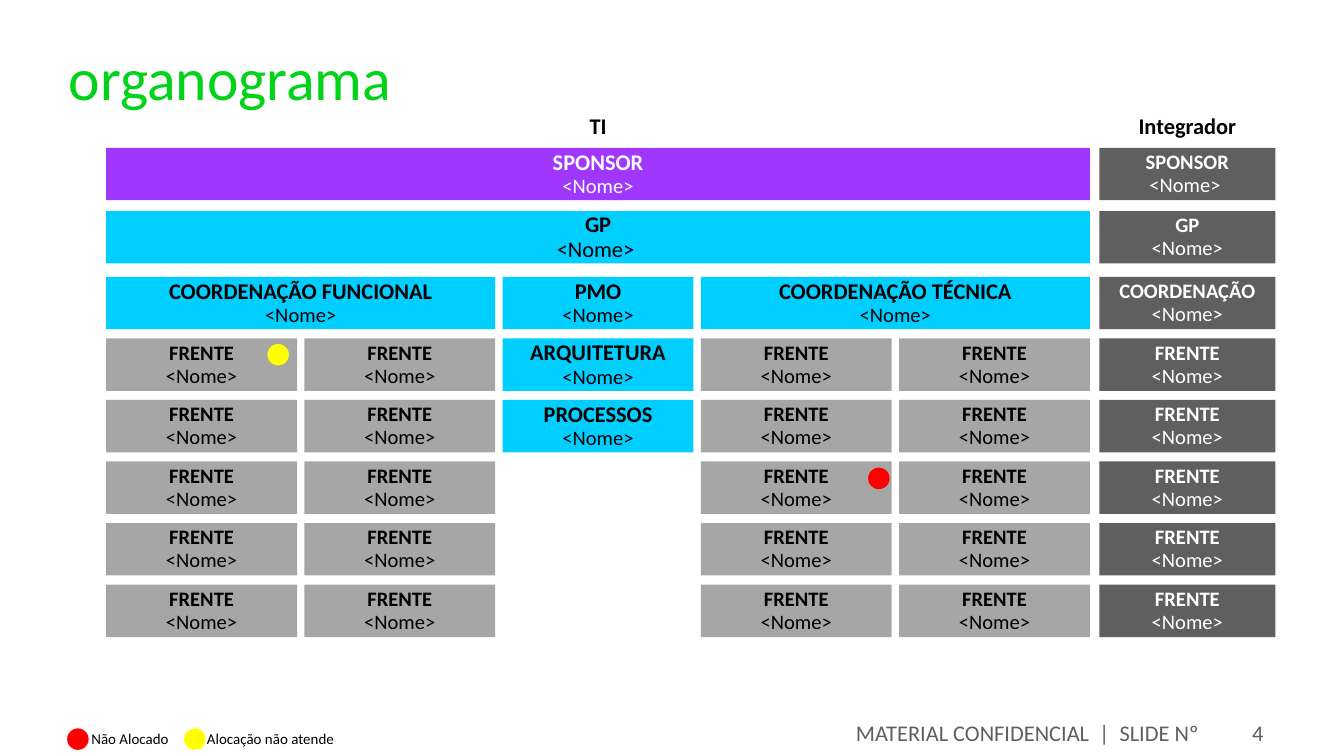
import dataclasses

import pptx
import pptx.dml.color
import pptx.enum.shapes
import pptx.enum.text
import pptx.presentation
import pptx.shapes.base
import pptx.slide
import pptx.text.text
import pptx.util

Inches = pptx.util.Inches
ALIGN = pptx.enum.text.PP_ALIGN
ANCHOR = pptx.enum.text.MSO_ANCHOR
SHAPE = pptx.enum.shapes.MSO_SHAPE


@dataclasses.dataclass(frozen=True)
class Theme:
    font: str = "Calibri"
    green: str = "00D318"
    purple: str = "9F37FE"
    cyan: str = "00CEFF"
    light_gray: str = "A6A6A6"
    dark_gray: str = "5F5F5F"
    red: str = "FF0000"
    yellow: str = "FFFF00"
    black: str = "000000"
    white: str = "FFFFFF"
    title: int = 32
    heading: int = 12
    body: int = 11
    legend: int = 8
    line_spacing: float = 0.93


THEME = Theme()


@dataclasses.dataclass(frozen=True)
class Area:
    left: float
    top: float
    width: float
    height: float


@dataclasses.dataclass(frozen=True)
class RoleStyle:
    fill: str
    color: str
    role_size: int
    name_size: int
    inset: float = 0.05


@dataclasses.dataclass(frozen=True)
class Role:
    title: str
    area: Area
    style: RoleStyle
    name: str = "<Nome>"


@dataclasses.dataclass(frozen=True)
class Label:
    text: str
    area: Area
    size: int
    color: str = THEME.black
    bold: bool = False
    align: ALIGN = ALIGN.LEFT
    anchor: ANCHOR = ANCHOR.MIDDLE
    insets: tuple[float, float] = (0.04, 0)
    wrap: bool = False
    spacing: float = THEME.line_spacing


@dataclasses.dataclass(frozen=True)
class Marker:
    left: float
    top: float
    color: str


SPONSOR = RoleStyle(THEME.purple, THEME.white, THEME.heading, THEME.body)
MANAGER = RoleStyle(THEME.cyan, THEME.black, THEME.heading, THEME.heading)
COORDINATION = RoleStyle(THEME.cyan, THEME.black, THEME.heading, THEME.body)
FRONT = RoleStyle(THEME.light_gray, THEME.black, THEME.body, THEME.body, 0)
INTEGRATOR = RoleStyle(THEME.dark_gray, THEME.white, THEME.body, THEME.body)

CHART_LEFT, COLUMN_WIDTH = 0.79, 1.42
COLUMN_PITCH = (6.69 - CHART_LEFT) / 4
INTEGRATOR_LEFT, INTEGRATOR_WIDTH = 8.18, 1.31
BOX_HEIGHT, DOT_SIZE = 0.39, 0.16
COORDINATION_TOP = 2.06
ROW_PITCH = (4.35 - COORDINATION_TOP) / 5
ROW_TOPS = [1.1, 1.57] + [COORDINATION_TOP + row * ROW_PITCH for row in range(6)]
FRONT_ROWS = range(3, 8)


def chart_area(column: int, row: int, span: int = 1) -> Area:
    width = COLUMN_WIDTH + (span - 1) * COLUMN_PITCH
    return Area(CHART_LEFT + column * COLUMN_PITCH, ROW_TOPS[row], width, BOX_HEIGHT)


def integrator_role(title: str, row: int, name: str = "<Nome>") -> Role:
    area = Area(INTEGRATOR_LEFT, ROW_TOPS[row], INTEGRATOR_WIDTH, BOX_HEIGHT)
    return Role(title, area, INTEGRATOR, name)


def place(area: Area) -> tuple[int, int, int, int]:
    return Inches(area.left), Inches(area.top), Inches(area.width), Inches(area.height)


def set_frame(frame: pptx.text.text.TextFrame, anchor: ANCHOR,
              insets: tuple[float, float], wrap: bool) -> None:
    frame.word_wrap = wrap
    frame.vertical_anchor = anchor
    frame.margin_left = frame.margin_right = Inches(insets[0])
    frame.margin_top = frame.margin_bottom = Inches(insets[1])


def write(paragraph, text: str, size: int, color: str, bold: bool,
          align: ALIGN, spacing: float) -> None:
    paragraph.alignment = align
    paragraph.line_spacing = spacing
    run = paragraph.add_run()
    run.text = text
    run.font.name = THEME.font
    run.font.size = pptx.util.Pt(size)
    run.font.bold = bold
    run.font.color.rgb = pptx.dml.color.RGBColor.from_string(color)


def add_filled(slide: pptx.slide.Slide, kind: SHAPE, area: Area,
               color: str) -> pptx.shapes.base.BaseShape:
    shape = slide.shapes.add_shape(kind, *place(area))
    shape.shadow.inherit = False
    shape.fill.solid()
    shape.fill.fore_color.rgb = pptx.dml.color.RGBColor.from_string(color)
    shape.line.fill.background()
    return shape


def add_role(slide: pptx.slide.Slide, role: Role) -> None:
    style = role.style
    frame = add_filled(slide, SHAPE.RECTANGLE, role.area, style.fill).text_frame
    set_frame(frame, ANCHOR.MIDDLE, (0.04, style.inset), False)
    write(frame.paragraphs[0], role.title, style.role_size, style.color, True,
          ALIGN.CENTER, THEME.line_spacing)
    write(frame.add_paragraph(), role.name, style.name_size, style.color, False,
          ALIGN.CENTER, THEME.line_spacing)


def add_label(slide: pptx.slide.Slide, label: Label) -> None:
    frame = slide.shapes.add_textbox(*place(label.area)).text_frame
    set_frame(frame, label.anchor, label.insets, label.wrap)
    write(frame.paragraphs[0], label.text, label.size, label.color, label.bold,
          label.align, label.spacing)


def add_marker(slide: pptx.slide.Slide, marker: Marker) -> None:
    area = Area(marker.left, marker.top, DOT_SIZE, DOT_SIZE)
    add_filled(slide, SHAPE.OVAL, area, marker.color)


def column_header(text: str, left: float, width: float) -> Label:
    return Label(text, Area(left, 0.77, width, 0.32), THEME.heading, bold=True,
                 align=ALIGN.CENTER, anchor=ANCHOR.BOTTOM, insets=(0.04, 0.05))


def footer(text: str, left: float, width: float) -> Label:
    return Label(text, Area(left, 5.33, width, 0.24), THEME.heading, THEME.dark_gray,
                 align=ALIGN.RIGHT, insets=(0.1, 0.05), wrap=True, spacing=1.0)


LABELS = [
    Label("organograma", Area(0.51, 0.3, 8.98, 0.78), THEME.title, THEME.green,
          anchor=ANCHOR.TOP, insets=(0, 0), wrap=True, spacing=1.0),
    column_header("TI", CHART_LEFT, 7.32),
    column_header("Integrador", INTEGRATOR_LEFT, INTEGRATOR_WIDTH),
    Label("Não Alocado", Area(0.64, 5.37, 0.7, 0.27), THEME.legend),
    Label("Alocação não atende", Area(1.5, 5.39, 1.21, 0.23), THEME.legend),
    footer("MATERIAL CONFIDENCIAL  |  SLIDE Nº", 0.5, 8.52),
    footer("4", 9.02, 0.48),
]
ROLES = [
    Role("SPONSOR", chart_area(0, 0, 5), SPONSOR),
    Role("GP", chart_area(0, 1, 5), MANAGER, "<Nome> "),
    Role("COORDENAÇÃO FUNCIONAL", chart_area(0, 2, 2), COORDINATION),
    Role("PMO", chart_area(2, 2), COORDINATION),
    Role("COORDENAÇÃO TÉCNICA", chart_area(3, 2, 2), COORDINATION),
    Role("ARQUITETURA", chart_area(2, 3), COORDINATION),
    Role("PROCESSOS", chart_area(2, 4), COORDINATION),
    *(Role("FRENTE", chart_area(column, row), FRONT)
      for row in FRONT_ROWS for column in (0, 1, 3, 4)),
    integrator_role("SPONSOR", 0, "<Nome> "),
    integrator_role("GP", 1),
    integrator_role("COORDENAÇÃO", 2),
    *(integrator_role("FRENTE", row) for row in FRONT_ROWS),
]
MARKERS = [Marker(1.99, 2.56, THEME.yellow), Marker(6.46, 3.48, THEME.red),
           Marker(0.5, 5.42, THEME.red), Marker(1.37, 5.42, THEME.yellow)]


def main() -> None:
    deck = pptx.Presentation()
    deck.slide_width, deck.slide_height = Inches(10), Inches(10 * 9 / 16)
    slide = deck.slides.add_slide(deck.slide_layouts[6])
    for label in LABELS:
        add_label(slide, label)
    for role in ROLES:
        add_role(slide, role)
    for marker in MARKERS:
        add_marker(slide, marker)
    deck.save("out.pptx")


if __name__ == "__main__":
    main()
